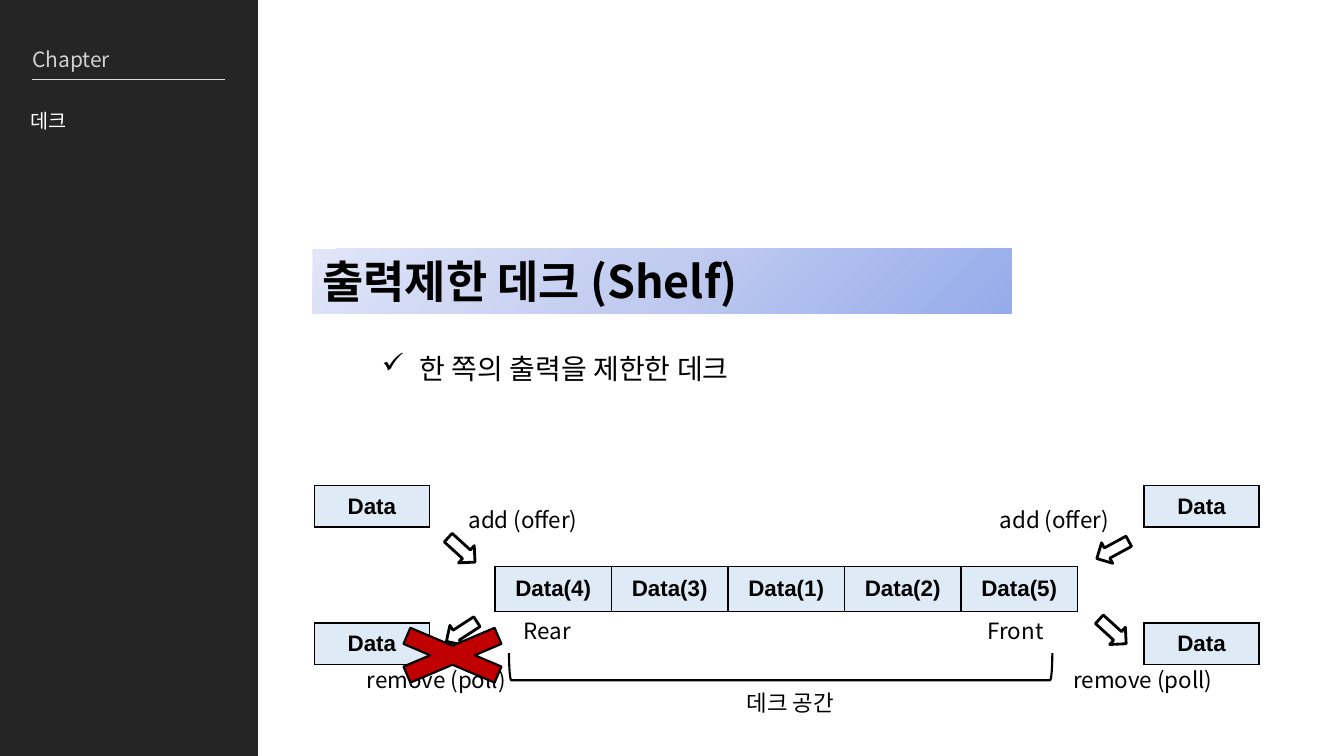
"""Build the slide about the output-restricted deque (Shelf)."""
from dataclasses import dataclass

from lxml.etree import SubElement
from pptx import Presentation
from pptx.dml.color import RGBColor
from pptx.enum.shapes import MSO_CONNECTOR, MSO_SHAPE as Shape
from pptx.enum.text import MSO_ANCHOR as Anchor, MSO_AUTO_SIZE as AutoSize, PP_ALIGN as Align
from pptx.oxml import parse_xml
from pptx.oxml.ns import nsdecls, qn
from pptx.util import Pt


@dataclass(frozen=True)
class Theme:
    black: str = "000000"
    white: str = "FFFFFF"
    sidebar: str = "252525"
    chapter: str = "D1D1D1"
    rule: str = "DDDDDD"
    cell: str = "DEEBF7"
    cross: str = "C00000"
    gradient: tuple = ((0, "96ABEA"), (50, "C0CBF0"), (100, "E0E5F7"))
    body_font: str = "Noto Sans CJK KR"
    cell_font: str = "Arial"
    title_size: int = 32
    bullet_size: int = 20
    label_size: int = 16
    chapter_size: int = 15
    topic_size: int = 14


theme = Theme()


def write(frame, text, size=theme.label_size, color=theme.black, font=theme.body_font,
          bold=False, align=Align.LEFT, spacing=None):
    para = frame.paragraphs[0]
    para.alignment = align
    if spacing:
        para.line_spacing = spacing
    span = para.add_run()
    span.text = text
    span.font.size = Pt(size)
    span.font.bold = bold
    span.font.color.rgb = RGBColor.from_string(color)
    span.font.name = font
    SubElement(span.font._element, qn("a:ea")).set("typeface", font)
    return para


def draw(kind, left, top, width, height, fill=None, line=None, weight=1.5, turn=0):
    shape = page.shapes.add_shape(kind, Pt(left), Pt(top), Pt(width), Pt(height))
    shape.shadow.inherit = False
    shape.rotation = turn
    if fill:
        shape.fill.solid()
        shape.fill.fore_color.rgb = RGBColor.from_string(fill)
    else:
        shape.fill.background()
    if line:
        shape.line.color.rgb = RGBColor.from_string(line)
        shape.line.width = Pt(weight)
    else:
        shape.line.fill.background()
    return shape


deck = Presentation()
deck.slide_width, deck.slide_height = Pt(960), Pt(540)
page = deck.slides.add_slide(deck.slide_layouts[6])

draw(Shape.RECTANGLE, -0.7, -2.2, 185, 544.3, fill=theme.sidebar)
rule = page.shapes.add_connector(MSO_CONNECTOR.STRAIGHT, Pt(23), Pt(56.9), Pt(160.6), Pt(56.9))
rule.line.color.rgb = RGBColor.from_string(theme.rule)
rule.line.width = Pt(0.8)
SubElement(rule._element.spPr, qn("a:effectLst"))

sidebar_texts = [
    ("Chapter", 19.4, 29.5, 68.4, 25.2, theme.chapter_size, theme.chapter, None),
    ("데크", 18, 65.5, 146.2, 32.4, theme.topic_size, theme.white, 1.5),
]
for text, left, top, width, height, size, color, spacing in sidebar_texts:
    frame = page.shapes.add_textbox(Pt(left), Pt(top), Pt(width), Pt(height)).text_frame
    frame.word_wrap = True
    frame.auto_size = AutoSize.SHAPE_TO_FIT_TEXT
    frame.margin_left = frame.margin_right = frame.margin_top = frame.margin_bottom = Pt(3.6)
    write(frame, text, size=size, color=color, spacing=spacing)

title = draw(Shape.RECTANGLE, 223.2, 177.8, 499.7, 46.1, fill=theme.white)
stops = "".join(f'<a:gs pos="{place * 1000}"><a:srgbClr val="{color}"/></a:gs>'
                for place, color in theme.gradient)
properties = title._element.spPr
properties.replace(properties.find(qn("a:solidFill")), parse_xml(
    f'<a:gradFill {nsdecls("a")} rotWithShape="1"><a:gsLst>{stops}</a:gsLst>'
    '<a:path path="circle"><a:fillToRect l="100000" t="100000"/></a:path></a:gradFill>'))
title.text_frame.word_wrap = True
title.text_frame.auto_size = AutoSize.SHAPE_TO_FIT_TEXT
title.text_frame.vertical_anchor = Anchor.TOP
write(title.text_frame, "출력제한 데크 (Shelf)", size=theme.title_size, bold=True)

frame = page.shapes.add_textbox(Pt(265.7), Pt(235.4), Pt(560.9), Pt(39.6)).text_frame
frame.word_wrap = True
frame.auto_size = AutoSize.SHAPE_TO_FIT_TEXT
para = write(frame, "한 쪽의 출력을 제한한 데크", size=theme.bullet_size, spacing=1.5)
bullet = para._element.get_or_add_pPr()
bullet.set("marL", str(Pt(27)))
bullet.set("indent", str(-Pt(27)))
SubElement(SubElement(bullet, qn("a:buClr")), qn("a:srgbClr")).set("val", theme.black)
SubElement(bullet, qn("a:buChar")).set("char", "✓")

tables = [(["Data(4)", "Data(3)", "Data(1)", "Data(2)", "Data(5)"], 353.5, 404.6, 83.25, 32.4, 7.2)]
tables += [(["Data"], left, top, 82.1, 29.5, 5.8) for left in (224.6, 817.2) for top in (347, 445)]
for texts, left, top, width, height, margin in tables:
    table = page.shapes.add_table(1, len(texts), Pt(left), Pt(top),
                                  Pt(width * len(texts)), Pt(height)).table
    table.first_row = table.horz_banding = False
    for column, text in enumerate(texts):
        table.columns[column].width = Pt(width)
        cell = table.cell(0, column)
        cell.vertical_anchor = Anchor.MIDDLE
        cell.margin_left = cell.margin_right = Pt(margin)
        cell.margin_top = cell.margin_bottom = Pt(3.6)
        for side in "LRTB":
            border = SubElement(cell._tc.get_or_add_tcPr(), qn(f"a:ln{side}"), w=str(Pt(1)))
            SubElement(SubElement(border, qn("a:solidFill")), qn("a:srgbClr")).set("val", theme.black)
        cell.fill.solid()
        cell.fill.fore_color.rgb = RGBColor.from_string(theme.cell)
        write(cell.text_frame, text, font=theme.cell_font, bold=True, align=Align.CENTER)

arrows = [(316.8, 384.5, 42.3), (781.9, 384.5, 151.5), (316.8, 442.8, 147.1), (781.9, 442.8, 42.3)]
for left, top, turn in arrows:
    draw(Shape.RIGHT_ARROW, left, top, 25.9, 16.6, line=theme.black, weight=2, turn=turn)
draw(Shape.RIGHT_BRACKET, 547.9, 282.2, 19.4, 388.1, line=theme.black, turn=90)

labels = [
    ("add (offer)", 327.6, 357.8, 93.6),
    ("add (offer)", 707, 357.8, 93.6),
    ("remove (poll)", 254.9, 472.3, 115.2),
    ("remove (poll)", 759.6, 472.3, 115.2),
    ("Rear", 367.2, 437, 49),
    ("Front", 698.4, 437, 55.4),
    ("데크 공간", 526.3, 488.9, 77.8),
]
for text, left, top, width in labels:
    frame = page.shapes.add_textbox(Pt(left), Pt(top), Pt(width), Pt(26.6)).text_frame
    frame.word_wrap = False
    frame.auto_size = AutoSize.SHAPE_TO_FIT_TEXT
    write(frame, text)

draw(Shape.MATH_MULTIPLY, 260.6, 441.4, 125.3, 53.3, fill=theme.cross, line=theme.black)

deck.save("out.pptx")
